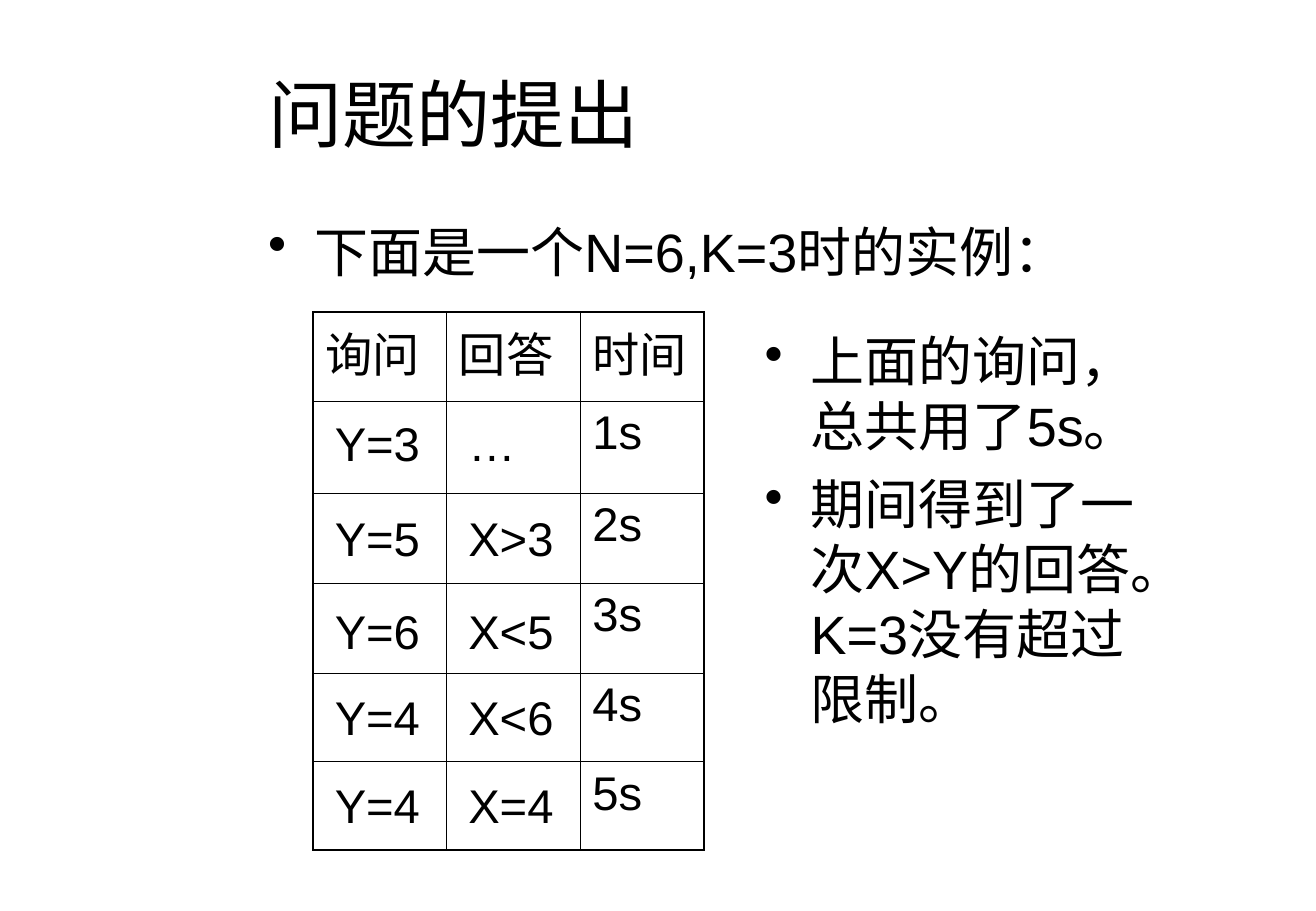
import dataclasses

import lxml.etree
import pptx
import pptx.dml.color
import pptx.enum.text
import pptx.oxml.ns
import pptx.util

Inches = pptx.util.Inches
Pt = pptx.util.Pt
qn = pptx.oxml.ns.qn


@dataclasses.dataclass(frozen=True)
class Theme:
    font: str = "Arial"
    ink: str = "000000"
    title_size: int = 44
    body_size: int = 32
    table_size: int = 28
    outer_line: float = 1.08
    inner_line: float = 0.45


THEME = Theme()

HEADERS = ["询问", "回答", "时间"]
ROUNDS = [
    ("Y=3", "…", "1s"),
    ("Y=5", "X>3", "2s"),
    ("Y=6", "X<5", "3s"),
    ("Y=4", "X<6", "4s"),
    ("Y=4", "X=4", "5s"),
]
COLUMN_WIDTHS = [1.1, 1.1, 1.02]
ROW_HEIGHTS = [0.73, 0.76, 0.74, 0.74, 0.73, 0.73]
ENTRY_LEFTS = [2.66, 3.76]
ENTRY_TOPS = [3.36, 4.14, 4.91, 5.62, 6.34]


def style_paragraph(paragraph, text, size, space_before=0):
    paragraph.text = text
    paragraph.space_before = Pt(space_before)
    paragraph.font.name = THEME.font
    paragraph.font.size = Pt(size)
    paragraph.font.color.rgb = pptx.dml.color.RGBColor.from_string(THEME.ink)


def add_bullet(paragraph):
    properties = paragraph._p.get_or_add_pPr()
    properties.set("marL", str(Inches(0.38)))
    properties.set("indent", str(Inches(-0.38)))
    bullet = lxml.etree.SubElement(properties, qn("a:buChar"))
    bullet.set("char", "•")
    # The bullet goes ahead of the default run properties
    properties.find(qn("a:defRPr")).addprevious(bullet)


def add_text(slide, box, lines, size, space_before=0, bulleted=False):
    frame = slide.shapes.add_textbox(*(Inches(v) for v in box)).text_frame
    frame.word_wrap = True
    for index, line in enumerate(lines):
        paragraph = frame.add_paragraph() if index else frame.paragraphs[0]
        style_paragraph(paragraph, line, size, space_before)
        if bulleted:
            add_bullet(paragraph)
    return frame


def set_borders(cell, outer_sides):
    properties = cell._tc.get_or_add_tcPr()
    for side in "LRTB":
        width = THEME.outer_line if side in outer_sides else THEME.inner_line
        line = lxml.etree.SubElement(properties, qn(f"a:ln{side}"))
        line.set("w", str(Pt(width)))
        fill = lxml.etree.SubElement(line, qn("a:solidFill"))
        lxml.etree.SubElement(fill, qn("a:srgbClr")).set("val", THEME.ink)


def add_rounds_table(slide):
    row_count, column_count = len(ROW_HEIGHTS), len(COLUMN_WIDTHS)
    rounds_table = slide.shapes.add_table(
        row_count, column_count, Inches(2.58), Inches(2.57),
        Inches(sum(COLUMN_WIDTHS)), Inches(sum(ROW_HEIGHTS))).table
    rounds_table.first_row = False
    rounds_table.horz_banding = False
    for column, width in zip(rounds_table.columns, COLUMN_WIDTHS):
        column.width = Inches(width)
    for row, height in zip(rounds_table.rows, ROW_HEIGHTS):
        row.height = Inches(height)

    # Queries and answers sit in their own boxes; only times fill the cells
    contents = [HEADERS] + [("", "", time) for _, _, time in ROUNDS]
    for r, row_texts in enumerate(contents):
        for c, text in enumerate(row_texts):
            cell = rounds_table.cell(r, c)
            edges = {"L": c == 0, "R": c == column_count - 1,
                     "T": r == 0, "B": r == row_count - 1}
            set_borders(cell, [side for side, outer in edges.items() if outer])
            cell.fill.background()
            if text:
                style_paragraph(cell.text_frame.paragraphs[0], text,
                                THEME.table_size, 7)


def add_round_entries(slide):
    for top, (query, answer, _) in zip(ENTRY_TOPS, ROUNDS):
        for left, text in zip(ENTRY_LEFTS, (query, answer)):
            entry = add_text(slide, (left, top, 0.94, 0.57), [text],
                             THEME.table_size, 17.5)
            entry.auto_size = pptx.enum.text.MSO_AUTO_SIZE.SHAPE_TO_FIT_TEXT


def main():
    deck = pptx.Presentation()
    deck.slide_width, deck.slide_height = Inches(10.84), Inches(7.5)
    slide = deck.slides.add_slide(deck.slide_layouts[6])

    # Title and lead-in
    title = add_text(slide, (2.11, 0.3, 8.18, 1.25), ["问题的提出"],
                     THEME.title_size)
    title.vertical_anchor = pptx.enum.text.MSO_ANCHOR.MIDDLE
    add_text(slide, (2.11, 1.75, 7.48, 0.74), ["下面是一个N=6,K=3时的实例："],
             THEME.body_size, 8, bulleted=True)

    # Worked example
    add_rounds_table(slide)

    # Conclusions
    add_text(slide, (6.2, 2.65, 3.46, 3.78),
             ["上面的询问，总共用了5s。",
              "期间得到了一次X>Y的回答。K=3没有超过限制。"],
             THEME.body_size, 8, bulleted=True)

    # Queries and answers over the table
    add_round_entries(slide)

    deck.save("out.pptx")


main()
